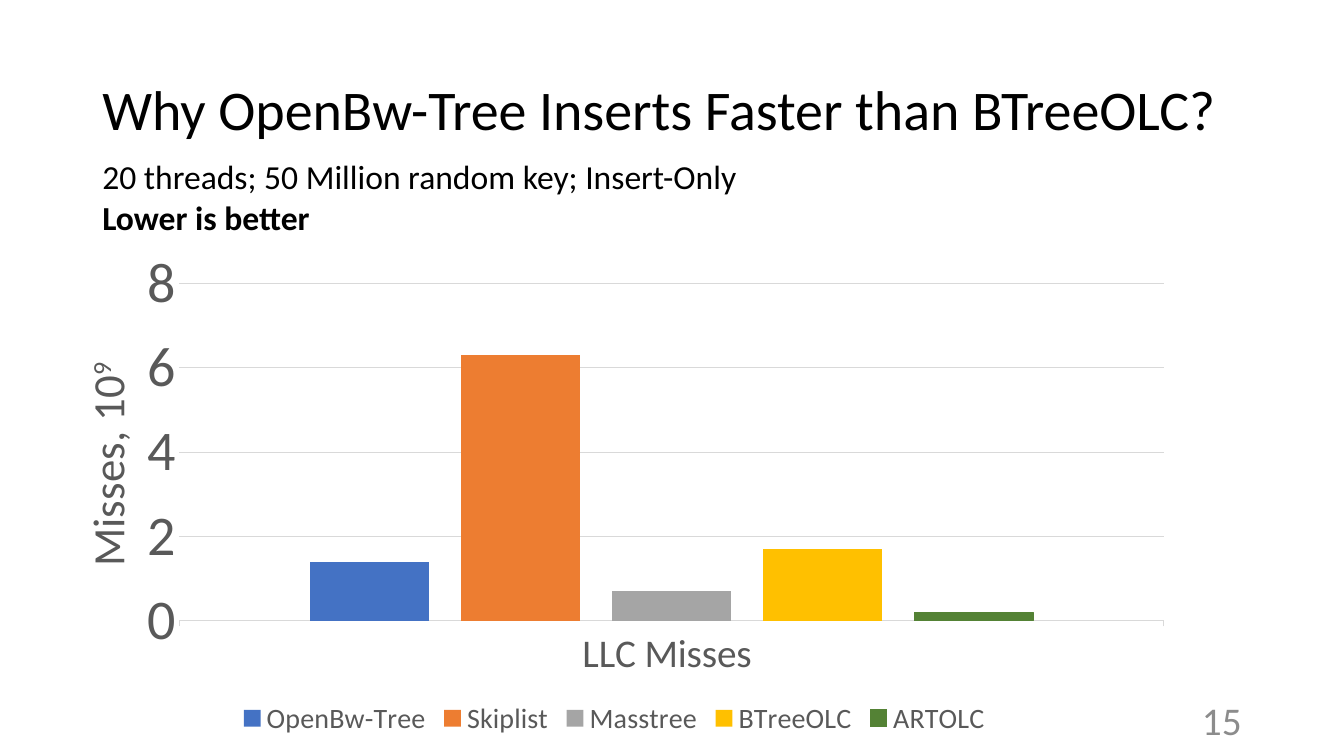
from lxml import etree
from pptx import Presentation
from pptx.chart.data import CategoryChartData
from pptx.dml.color import RGBColor
from pptx.enum.chart import XL_CHART_TYPE, XL_LEGEND_POSITION, XL_TICK_MARK
from pptx.enum.text import MSO_ANCHOR, PP_ALIGN
from pptx.oxml.ns import qn
from pptx.util import Emu, Pt

PX = 9525
FONT = "Calibri"
BLACK, GREY, PALE, NUMBER_GREY = "000000", "595959", "D9D9D9", "8C8C8C"
COLUMNS = XL_CHART_TYPE.COLUMN_CLUSTERED
BOTTOM = XL_LEGEND_POSITION.BOTTOM
TICK_NONE, TICK_OUT = XL_TICK_MARK.NONE, XL_TICK_MARK.OUTSIDE
TOP, MIDDLE = MSO_ANCHOR.TOP, MSO_ANCHOR.MIDDLE
LEFT, RIGHT = PP_ALIGN.LEFT, PP_ALIGN.RIGHT

SERIES = [
    ("OpenBw-Tree", 1.4, "4472C4"),
    ("Skiplist", 6.3, "ED7D31"),
    ("Masstree", 0.7, "A5A5A5"),
    ("BTreeOLC", 1.7, "FFC000"),
    ("ARTOLC", 0.2, "548235"),
]


def px(*lengths):
    return [Emu(n * PX) for n in lengths]


def rgb(color):
    return RGBColor.from_string(color)


def style_font(font, size, color, bold=False):
    font.name, font.size, font.bold = FONT, Pt(size), bold
    font.color.rgb = rgb(color)


def style_line(line, color, width=0.75):
    line.color.rgb = rgb(color)
    line.width = Pt(width)


def write_lines(tf, lines, size, color, align=LEFT, spacing=1.0):
    """Write (text, bold) pairs, one paragraph each."""
    for i, (text, bold) in enumerate(lines):
        p = tf.paragraphs[0] if i == 0 else tf.add_paragraph()
        p.alignment, p.line_spacing = align, spacing
        r = p.add_run()
        r.text = text
        style_font(r.font, size, color, bold)


def add_text(slide, box, lines, size, color=BLACK, anchor=TOP, align=LEFT, spacing=1.0):
    tf = slide.shapes.add_textbox(*px(*box)).text_frame
    tf.word_wrap = True
    tf.vertical_anchor = anchor
    write_lines(tf, lines, size, color, align, spacing)


def set_layout(parent, before, **values):
    """Place a chart part by fractions of the chart, ahead of the named sibling."""
    for old in parent.findall(qn("c:layout")):
        parent.remove(old)
    layout = etree.Element(qn("c:layout"))
    parent.find(qn(before)).addprevious(layout)
    manual = etree.SubElement(layout, qn("c:manualLayout"))
    for tag, value in values.items():
        etree.SubElement(manual, qn("c:" + tag)).set("val", str(value))


def style_axis(axis, size, tick):
    axis.major_tick_mark, axis.minor_tick_mark = tick, TICK_NONE
    style_font(axis.tick_labels.font, size, GREY)


def add_axis_title(axis, text, exponent, size):
    title = axis.axis_title
    tf = title.text_frame
    body = tf._txBody.bodyPr
    body.set("rot", "-5400000")
    body.set("vert", "horz")
    p = tf.paragraphs[0]
    for part, baseline in ((text, 0), (exponent, 30000)):
        r = p.add_run()
        r.text = part
        style_font(r.font, size, GREY)
        r.font._element.set("baseline", str(baseline))
    set_layout(title._element, "c:overlay", xMode="edge", yMode="edge", x=0.03, y=0.24)


def add_misses_chart(slide, box):
    data = CategoryChartData()
    data.categories = ["LLC Misses "]
    for name, value, _ in SERIES:
        data.add_series(name, [value])
    chart = slide.shapes.add_chart(COLUMNS, *px(*box), data).chart
    chart.has_title = False
    style_font(chart.font, 10, BLACK)

    plot = chart.plots[0]
    plot.gap_width, plot.overlap, plot.vary_by_categories = 219, -27, False
    for series, (_, _, color) in zip(plot.series, SERIES):
        series.format.fill.solid()
        series.format.fill.fore_color.rgb = rgb(color)
    style_line(plot.series[-1].format.line, SERIES[-1][2])

    style_axis(chart.category_axis, 28, TICK_OUT)
    style_line(chart.category_axis.format.line, PALE)
    axis = chart.value_axis
    style_axis(axis, 40, TICK_NONE)
    axis.minimum_scale, axis.maximum_scale, axis.major_unit = 0, 8, 2
    axis.format.line.fill.background()
    style_line(axis.major_gridlines.format.line, PALE)
    add_axis_title(axis, "Misses, 10", "9", 32)

    chart.has_legend = True
    chart.legend.position, chart.legend.include_in_layout = BOTTOM, False
    style_font(chart.legend.font, 20, GREY)
    set_layout(chart._chartSpace.chart.plotArea, "c:barChart", layoutTarget="inner",
               xMode="edge", yMode="edge", x=0.12, y=0.09, w=0.86, h=0.67)


def main():
    prs = Presentation()
    prs.slide_width, prs.slide_height = px(1280, 720)
    slide = prs.slides.add_slide(prs.slide_layouts[6])
    add_text(slide, (88, 38, 1104, 139),
             [("Why OpenBw-Tree Inserts Faster than BTreeOLC?", False)],
             40, anchor=MIDDLE, spacing=0.9)
    add_text(slide, (904, 667, 288, 38), [("15", False)], 28, NUMBER_GREY, MIDDLE, RIGHT)
    add_misses_chart(slide, (40, 227, 1090, 479))
    add_text(slide, (88, 144, 630, 126),
             [("20 threads; 50 Million random key; Insert-Only", False),
              ("Lower is better", True)], 24)
    prs.save("out.pptx")


if __name__ == "__main__":
    main()
